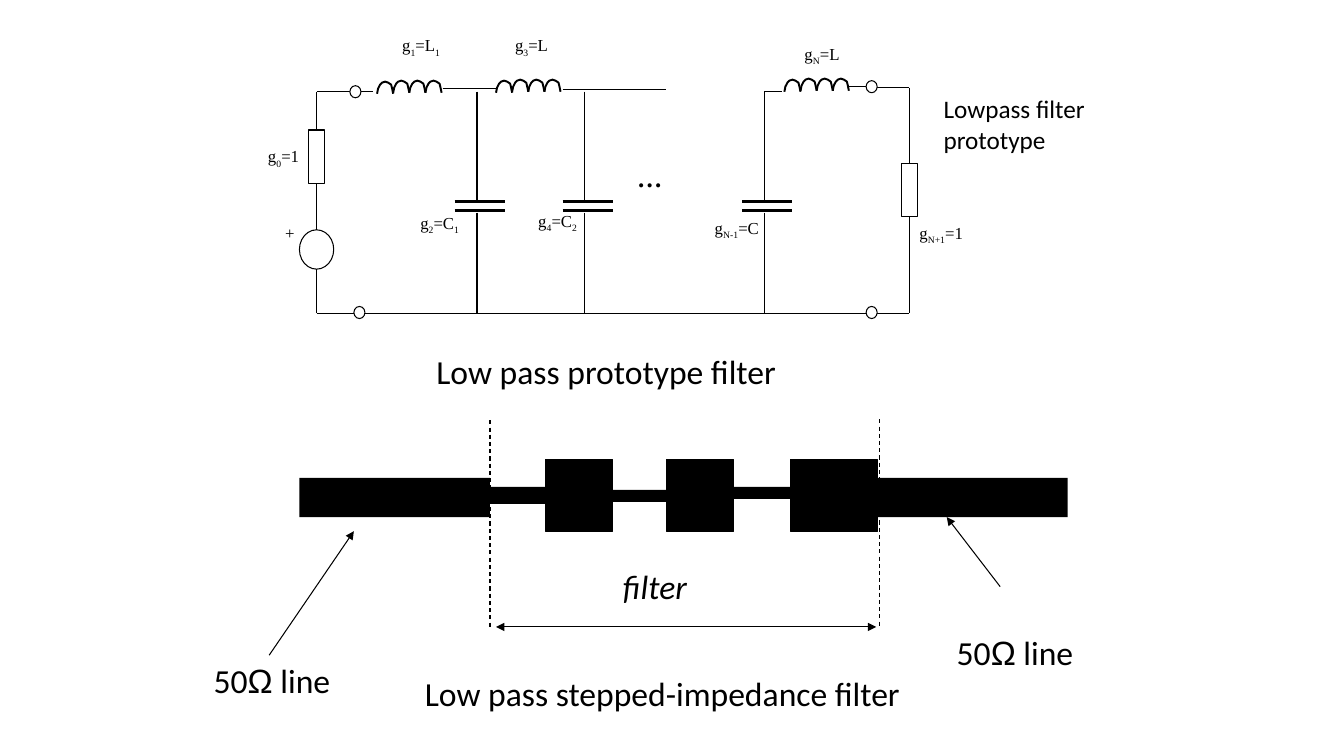
"""Draw a low pass prototype circuit above its stepped-impedance layout."""
from lxml import etree
from pptx import Presentation
from pptx.dml.color import RGBColor
from pptx.enum.dml import MSO_LINE as Dash
from pptx.enum.shapes import MSO_CONNECTOR as Link, MSO_SHAPE as Kind
from pptx.enum.text import PP_ALIGN as Align
from pptx.oxml.ns import qn
from pptx.util import Pt

PX = 9144
BLACK, WHITE = "000000", "FFFFFF"
SERIF, SANS = "Times New Roman", "Calibri"
hue = RGBColor.from_string

deck = Presentation()
deck.slide_width, deck.slide_height = 1333 * PX, 750 * PX
slide = deck.slides.add_slide(deck.slide_layouts[6])
shapes = slide.shapes


def wire(x1, y1, x2, y2, width=1, dash=None, ends=()):
    link = shapes.add_connector(Link.STRAIGHT, x1 * PX, y1 * PX, x2 * PX, y2 * PX)
    link.line.color.rgb = hue(BLACK)
    link.line.width = Pt(width)
    if dash:
        link.line.dash_style = dash
    for end in ends:
        etree.SubElement(link.line._get_or_add_ln(), qn("a:" + end), type="triangle")
    etree.SubElement(link._element.spPr, qn("a:effectLst"))


def block(kind, x, y, w, h, fill=None, width=0):
    shape = shapes.add_shape(kind, x * PX, y * PX, w * PX, h * PX)
    shape.shadow.inherit = False
    if fill:
        shape.fill.solid()
        shape.fill.fore_color.rgb = hue(fill)
    else:
        shape.fill.background()
    if width:
        shape.line.color.rgb = hue(BLACK)
        shape.line.width = Pt(width)
    else:
        shape.line.fill.background()


# Circuit wires, source and loads
block(Kind.OVAL, 297, 228, 34, 39, None, 0.75)
for x, y in ((306, 129), (894, 162)):
    block(Kind.RECTANGLE, x, y, 16, 53, None, 1)
for ends in (
    (314, 228, 314, 182), (314, 267, 314, 311), (314, 129, 314, 91),
    (314, 311, 902, 311), (314, 91, 370, 91), (902, 215, 902, 311),
    (902, 162, 902, 87), (902, 87, 869, 87),
):
    wire(*ends)
for x1, y1, x2, y2 in (
    (439, 88, 492, 88), (558, 89, 661, 89), (758, 91, 776, 91), (842, 86, 859, 86),
):
    wire(x1, y1, x2, y2, 0.75)

# Shunt capacitors
for x in (473, 580, 758):
    wire(x, 91, x, 200)
    wire(x, 211, x, 311)
    for y in (200, 209):
        wire(x - 22, y, x + 28, y, 2.25)

# Terminals
for x, y in ((347, 85), (859, 80), (859, 304), (351, 304)):
    block(Kind.OVAL, x, y, 11, 12, WHITE, 0.75)

# Series coils of four arches
ARCH = ((0, 12), (1, 7), (3, 3), (5, 1), (8, 0), (11, 1), (14, 3), (15, 7), (16, 12))
for left, top in ((374, 80), (492, 79), (778, 78)):
    for turn in range(4):
        x, y = left + 65 * turn // 4, top + (turn == 0)
        dots = [((x + dx) * PX, (y + dy) * PX) for dx, dy in ARCH]
        pen = shapes.build_freeform(*dots[0])
        pen.add_line_segments(dots[1:], close=False)
        arch = pen.convert_to_shape()
        arch.shadow.inherit = False
        arch.fill.background()
        arch.line.color.rgb = hue(BLACK)
        arch.line.width = Pt(1.38)

# Stepped-impedance strip
for x, y, w, h in (
    (297, 474, 189, 39), (486, 483, 56, 17), (870, 474, 189, 39),
    (608, 486, 56, 12), (728, 483, 56, 12),
):
    block(Kind.RECTANGLE, x, y, w, h, BLACK)
for x, w in ((541, 67), (661, 67), (784, 86)):
    block(Kind.RECTANGLE, x, 456, w, 71, BLACK, 0.75)
wire(486, 417, 486, 623, 0.75, Dash.DASH)
wire(872, 416, 872, 622, 0.75, Dash.DASH)
wire(267, 650, 351, 527, 0.75, ends=["tailEnd"])
wire(992, 582, 939, 513, 0.75, ends=["tailEnd"])
wire(492, 622, 869, 622, 0.75, ends=["headEnd", "tailEnd"])

# Labels: parts between underscores are subscripts, or the ohm sign
LABELS = (
    ("g_0_=1", 256, 140, 66, 42, 12, SERIF),
    ("+", 273, 216, 33, 36, 12, SERIF),
    ("…", 622, 156, 94, 72, 18, SERIF),
    ("g_N+1_=1", 902, 216, 66, 42, 12, SERIF),
    ("g_2_=C_1", 407, 206, 66, 42, 12, SERIF),
    ("g_1_=L_1", 389, 30, 66, 42, 12, SERIF),
    ("g_4_=C_2", 524, 204, 66, 42, 12, SERIF),
    ("g_N-1_=C", 699, 211, 96, 42, 12, SERIF),
    ("g_3_=L", 501, 30, 66, 42, 12, SERIF),
    ("g_N_=L", 788, 38, 66, 42, 12, SERIF),
    ("Low pass prototype filter", 423, 343, 399, 50, 24, SANS),
    ("Low pass stepped-impedance filter", 322, 663, 670, 50, 24, SANS),
    ("50_Ω_ line", 202, 650, 172, 50, 24, SANS),
    ("50_Ω_ line", 939, 622, 172, 50, 24, SANS),
    ("filter", 608, 557, 159, 50, 24, SANS),
    ("Lowpass filter prototype", 926, 88, 222, 71, 18, SANS),
)
for text, x, y, w, h, size, face in LABELS:
    frame = shapes.add_textbox(x * PX, y * PX, w * PX, h * PX).text_frame
    frame.word_wrap = True
    para = frame.paragraphs[0]
    if "stepped" in text:
        para.alignment = Align.CENTER
    for spot, part in enumerate(text.split("_")):
        run = para.add_run()
        run.text = part
        run.font.size = Pt(size)
        run.font.name = "Arial" if part == "Ω" else face
        run.font.color.rgb = hue(BLACK)
        if part == "…":
            run.font.bold = True
        if part == "filter":
            run.font.italic = True
        if spot % 2 and part != "Ω":
            run._r.get_or_add_rPr().set("baseline", "-25000")

deck.save("out.pptx")
